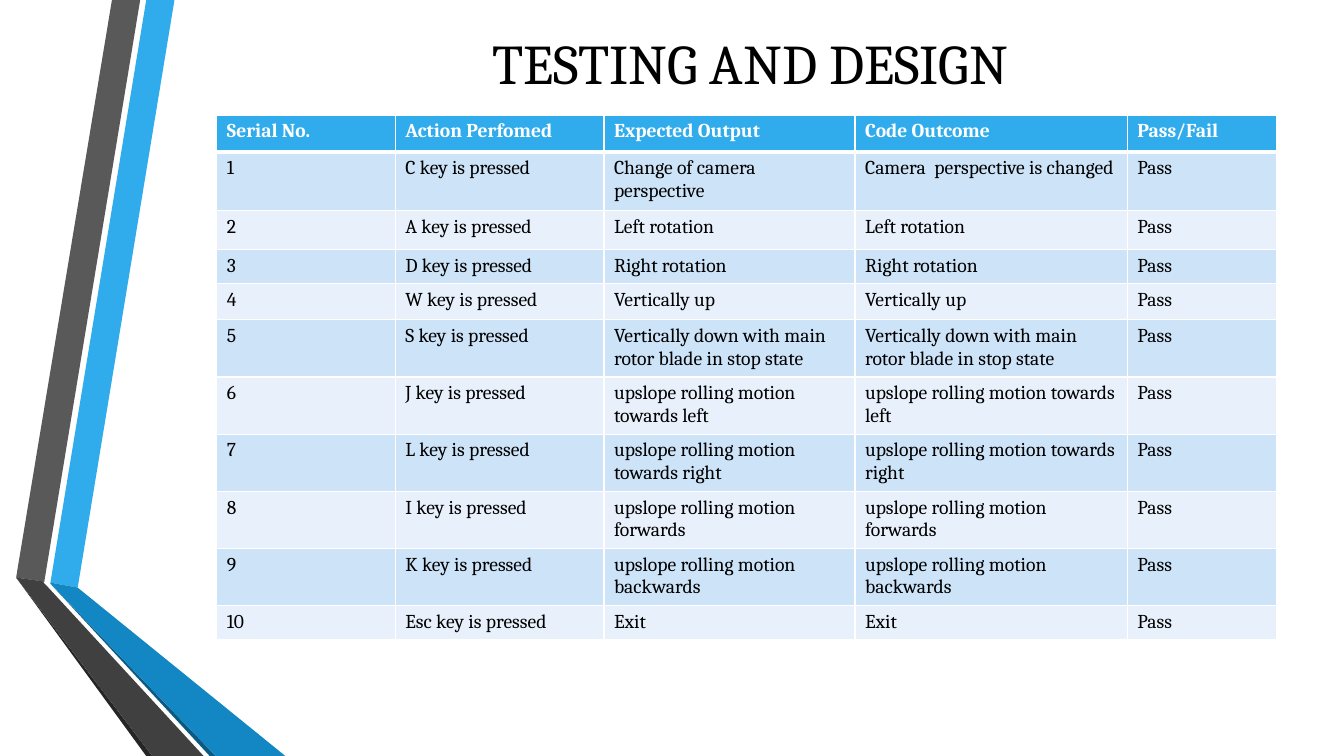
import lxml.etree
import pptx
import pptx.dml.color
import pptx.enum.text
import pptx.oxml.ns
import pptx.util

RGBColor = pptx.dml.color.RGBColor
BLUE = RGBColor(0x30, 0xAC, 0xEC)
BLUE_SHADE = RGBColor(0x12, 0x87, 0xC3)
BLUE_EDGE = RGBColor(0x0C, 0x5A, 0x82)
GRAY = RGBColor(0x59, 0x59, 0x59)
GRAY_SHADE = RGBColor(0x40, 0x40, 0x40)
GRAY_EDGE = RGBColor(0x26, 0x26, 0x26)
BAND_DARK = RGBColor(0xCD, 0xE3, 0xF8)
BAND_LIGHT = RGBColor(0xE8, 0xF1, 0xFB)
WHITE = RGBColor(0xFF, 0xFF, 0xFF)
BLACK = RGBColor(0, 0, 0)

deck = pptx.Presentation()
deck.slide_width = pptx.util.Inches(13.33)
deck.slide_height = pptx.util.Inches(7.5)
slide = deck.slides.add_slide(deck.slide_layouts[6])

# All lengths are percentages of the slide's width (columns) and height (rows).
column = deck.slide_width / 100
row = deck.slide_height / 100


def write_text(frame, text, size=14, color=BLACK, bold=False, align=None):
    frame.word_wrap = True
    para = frame.paragraphs[0]
    para.alignment = align
    span = para.add_run()
    span.text = text
    span.font.name = "Cambria"
    span.font.size = pptx.util.Pt(size)
    span.font.bold = bold
    span.font.color.rgb = color


def add_border(cell, side, points):
    properties = cell._tc.get_or_add_tcPr()
    line = lxml.etree.SubElement(properties, pptx.oxml.ns.qn("a:ln" + side))
    line.set("w", str(pptx.util.Pt(points)))
    fill = lxml.etree.SubElement(line, pptx.oxml.ns.qn("a:solidFill"))
    lxml.etree.SubElement(fill, pptx.oxml.ns.qn("a:srgbClr")).set("val", str(WHITE))


# Folded ribbons along the left edge
ribbons = [
    (BLUE, [(3.75, 77.07), (5.78, 77.73), (12.98, 0), (10.88, 0)]),
    (GRAY, [(10.43, 0), (8.33, 0), (1.2, 76.4), (3.3, 76.93)]),
    (GRAY_EDGE, [(1.2, 76.4), (10.88, 100), (11.33, 100)]),
    (BLUE_EDGE, [(3.75, 77.2), (15.6, 100), (16.05, 100)]),
    (BLUE_SHADE, [(3.75, 77.07), (3.75, 77.2), (16.05, 100), (21.23, 100), (5.78, 77.73)]),
    (GRAY_SHADE, [(15.15, 100), (3.6, 77.73), (3.23, 77.07), (3.3, 76.93), (1.2, 76.4),
                  (11.33, 100)]),
]
for color, corners in ribbons:
    points = [(round(x * column), round(y * row)) for x, y in corners]
    builder = slide.shapes.build_freeform(*points[0])
    builder.add_line_segments(points[1:], close=True)
    ribbon = builder.convert_to_shape()
    ribbon.shadow.inherit = False
    ribbon.fill.solid()
    ribbon.fill.fore_color.rgb = color
    ribbon.line.fill.background()

title_box = slide.shapes.add_textbox(
    round(14.7 * column), round(1.2 * row), round(82.22 * column), round(14 * row))
title_box.text_frame.vertical_anchor = pptx.enum.text.MSO_ANCHOR.MIDDLE
write_text(title_box.text_frame, "TESTING AND DESIGN", size=40,
           align=pptx.enum.text.PP_ALIGN.CENTER)

# Test results: key, expected output, outcome
tests = [
    ("C", "Change of camera perspective", "Camera  perspective is changed"),
    ("A", "Left rotation", "Left rotation"),
    ("D", "Right rotation", "Right rotation"),
    ("W", "Vertically up", "Vertically up"),
    ("S", "Vertically down with main rotor blade in stop state",
     "Vertically down with main rotor blade in stop state"),
]
for key, direction in [("J", "towards left"), ("L", "towards right"),
                       ("I", "forwards"), ("K", "backwards")]:
    motion = f"upslope rolling motion {direction}"
    tests.append((key, motion, motion))
tests.append(("Esc", "Exit", "Exit"))

records = [("Serial No.", "Action Perfomed", "Expected Output", "Code Outcome", "Pass/Fail")]
for number, (key, expected, outcome) in enumerate(tests, start=1):
    records.append((str(number), f"{key} key is pressed", expected, outcome, "Pass"))

column_shares = [13.28, 15.53, 18.68, 20.26, 11.1]
row_shares = [4.93, 7.73, 5.13, 4.53, 4.8] + [6.93] * 5 + [4.4]
table = slide.shapes.add_table(
    len(records), len(column_shares), round(16.13 * column), round(15.2 * row),
    round(sum(column_shares) * column), round(sum(row_shares) * row)).table
for index, share in enumerate(column_shares):
    table.columns[index].width = round(share * column)
for index, share in enumerate(row_shares):
    table.rows[index].height = round(share * row)

for row_index, record in enumerate(records):
    header = row_index == 0
    band = BLUE if header else BAND_DARK if row_index % 2 else BAND_LIGHT
    for column_index, text in enumerate(record):
        cell = table.cell(row_index, column_index)
        write_text(cell.text_frame, text, color=WHITE if header else BLACK, bold=header)
        add_border(cell, "L", 1)
        add_border(cell, "R", 1)
        add_border(cell, "T", 3 if row_index == 1 else 1)
        add_border(cell, "B", 3 if header else 1)
        cell.fill.solid()
        cell.fill.fore_color.rgb = band

deck.save("out.pptx")
